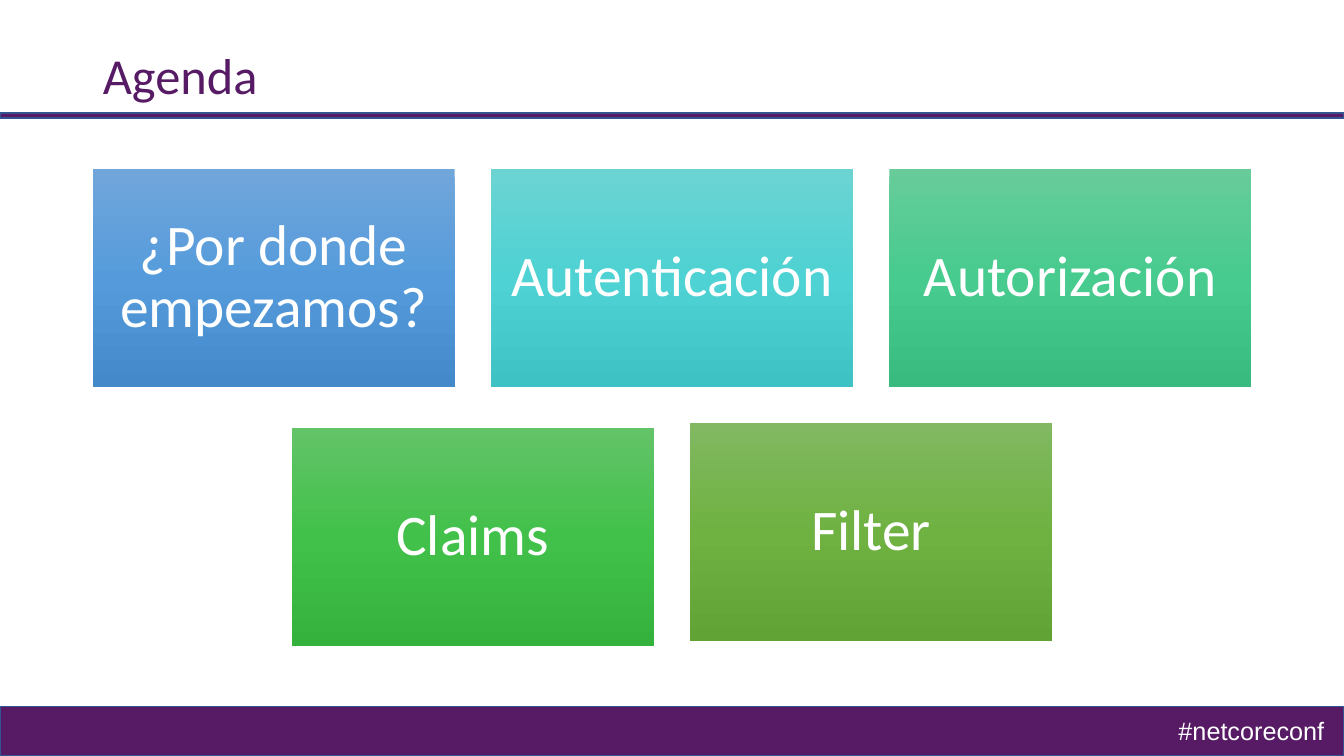
from copy import deepcopy

from pptx import Presentation
from pptx import util as u
from pptx.dml.color import RGBColor
from pptx.enum import shapes, text
from pptx.oxml.ns import qn

PURPLE, WHITE = "561B64", "FFFFFF"
CARD_W, CARD_H, STEP, LEFT = 3.59, 2.16, 3.95, 0.92
CARDS = [
    ("¿Por donde empezamos?", 0, 1.68, ("71A6DB", "559BDB", "448ACA")),
    ("Autenticación", 1, 1.68, ("6CD3D3", "4ED2D3", "3EC2C3")),
    ("Autorización", 2, 1.68, ("67CC9A", "47CB8E", "39BB7F")),
    ("Claims", 0.5, 4.25, ("63C368", "42C14A", "34B23D")),
    ("Filter", 1.5, 4.2, ("81B861", "6FB242", "62A336")),
]


def rgb(color):
    return RGBColor.from_string(color)


def box(*lengths):
    return [u.Inches(n) for n in lengths]


def set_attrs(obj, **values):
    for name, value in values.items():
        setattr(obj, name, value)


def write(sp, content, size, color, font="Calibri", align=text.PP_ALIGN.LEFT,
          spacing=1.0, **frame):
    tf = sp.text_frame
    tf.text = content
    set_attrs(tf, **frame)
    p = tf.paragraphs[0]
    set_attrs(p, alignment=align, line_spacing=spacing)
    r = p.runs[0]
    set_attrs(r.font, name=font, size=u.Pt(size))
    r.font.color.rgb = rgb(color)


def add_rect(s, *lengths):
    sp = s.shapes.add_shape(shapes.MSO_SHAPE.RECTANGLE, *box(*lengths))
    sp.shadow.inherit = False
    return sp


def add_band(s, top, height):
    sp = add_rect(s, 0, top, 13.33, height)
    sp.fill.solid()
    sp.fill.fore_color.rgb = rgb(PURPLE)
    sp.line.color.rgb = rgb("325491")
    sp.line.width = u.Pt(1)


def fill_gradient(sp, colors):
    sp.fill.gradient()
    sp.fill.gradient_angle = 270
    stops = sp._element.spPr.find(qn("a:gradFill")).find(qn("a:gsLst"))
    stops.insert(1, deepcopy(stops[0]))
    for stop, position, color in zip(sp.fill.gradient_stops, (0, 0.5, 1), colors):
        stop.position = position
        stop.color.rgb = rgb(color)


def add_card(s, label, column, top, colors):
    sp = add_rect(s, LEFT + column * STEP, top, CARD_W, CARD_H)
    fill_gradient(sp, colors)
    sp.line.fill.background()
    margins = {f"margin_{side}": u.Inches(0.17)
               for side in ("left", "top", "right", "bottom")}
    write(sp, label, 41, WHITE, align=text.PP_ALIGN.CENTER, spacing=0.9,
          word_wrap=True, vertical_anchor=text.MSO_ANCHOR.MIDDLE, **margins)


def add_title(s, content):
    sp = s.shapes.title
    left, top, width, height = box(LEFT, 0.14, 11.5, 1.28)
    set_attrs(sp, left=left, top=top, width=width, height=height)
    write(sp, content, 36, PURPLE, spacing=0.9,
          vertical_anchor=text.MSO_ANCHOR.MIDDLE)


def add_hashtag(s, content):
    sp = s.shapes.add_textbox(*box(11.59, 7.05, 1.66, 0.4))
    write(sp, content, 18, WHITE, font="Arial", word_wrap=False,
          auto_size=text.MSO_AUTO_SIZE.SHAPE_TO_FIT_TEXT)


def main():
    prs = Presentation()
    prs.slide_width, prs.slide_height = box(13.33, 7.5)
    s = prs.slides.add_slide(prs.slide_layouts[5])
    add_band(s, 7.01, 0.49)
    add_band(s, 1.12, 0.05)
    add_hashtag(s, "#netcoreconf")
    add_title(s, "Agenda")
    for card in CARDS:
        add_card(s, *card)
    prs.save("out.pptx")


if __name__ == "__main__":
    main()
